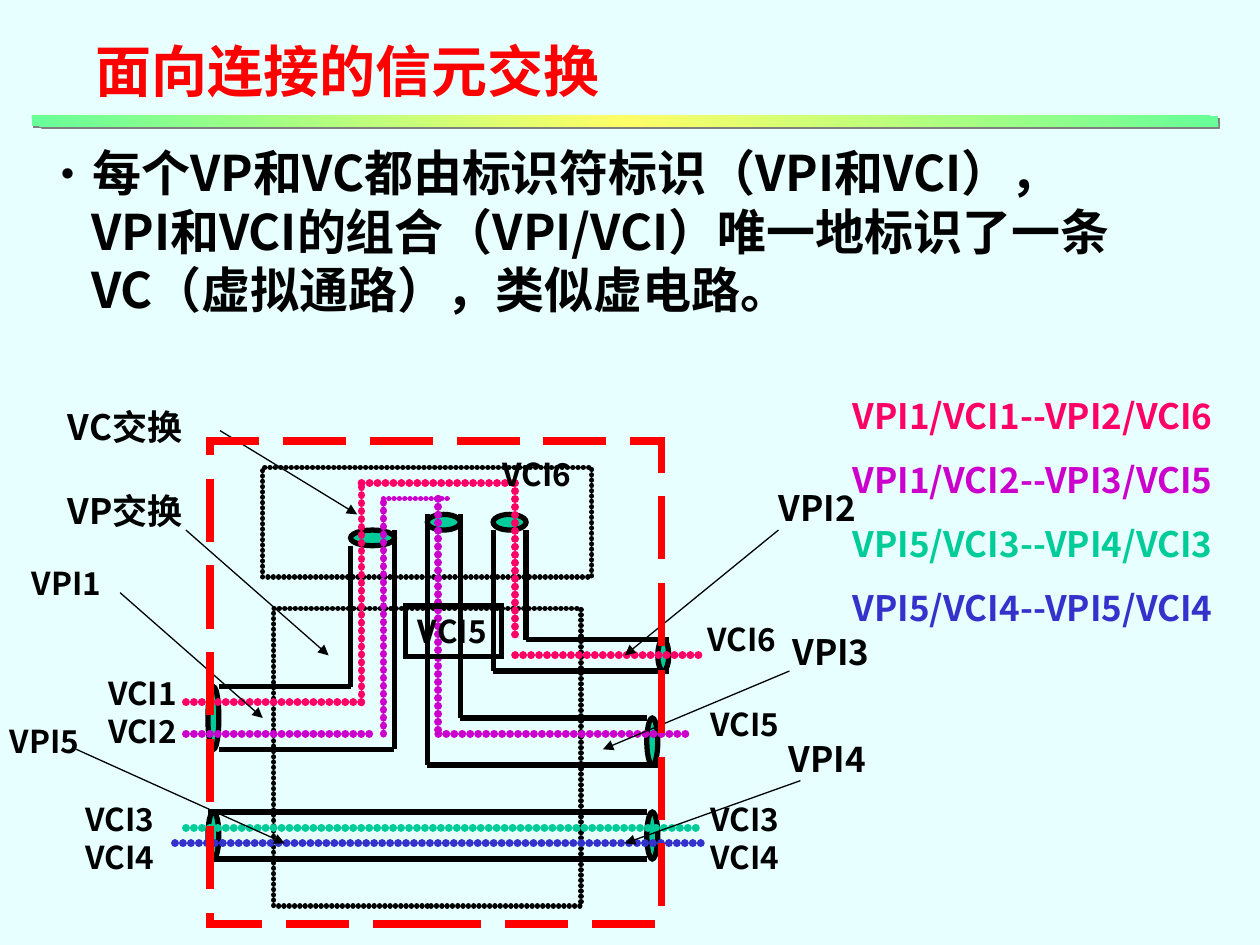
from itertools import pairwise

from lxml import etree
from pptx import Presentation
from pptx.dml.color import RGBColor
from pptx.enum import dml, shapes, text
from pptx.oxml import parse_xml
from pptx.oxml.ns import nsdecls, qn
from pptx.util import Pt

FONT = "Noto Sans CJK SC"
SKY = RGBColor(0xE7, 0xFF, 0xFF)
BLACK = RGBColor(0, 0, 0)
RED = RGBColor(0xFF, 0, 0)
PINK = RGBColor(0xFF, 0, 0x66)
PLUM = RGBColor(0xCC, 0, 0xCC)
TEAL = RGBColor(0, 0xCC, 0x99)
BLUE = RGBColor(0x33, 0x33, 0xCC)
MINT = RGBColor(0x66, 0xFF, 0x99)
LEMON = RGBColor(0xFF, 0xFF, 0x66)
GREY = RGBColor(0x80, 0x80, 0x80)

STEP_X, STEP_Y = 6.27, 8.95

PIPES = [
    [(4, 14), (16, 14), (16, 5)],
    [(4, 18), (20, 18), (20, 4)],
    [(29, 4), (29, 13), (45, 13)],
    [(32, 4), (32, 11), (45, 11)],
    [(23, 3), (23, 19), (44, 19)],
    [(26, 3), (26, 16), (43, 16)],
    [(3, 22), (43, 22)],
    [(3, 25), (43, 25)],
]
MOUTHS = [
    (3, 14, 1, 4), (16, 4, 4, 1), (29, 3, 3, 1), (44, 11, 1, 2),
    (43, 16, 1, 3), (23, 3, 3, 1), (3, 22, 1, 3), (43, 22, 1, 3),
]
ZONES = [(9, 9, 28, 19), (8, 0, 30, 7)]
CELLS = [
    (PINK, 4.5, [(1, 15), (17, 15), (17, 1), (31, 1), (31, 11)]),
    (PINK, 4.5, [(31, 12), (48, 12)]),
    (PLUM, 4.5, [(1, 17), (18, 17)]),
    (PLUM, 4.5, [(19, 17), (19, 2)]),
    (PLUM, 3, [(19, 2), (25, 2)]),
    (PLUM, 4.5, [(24, 2), (24, 17), (47, 17)]),
    (TEAL, 4.5, [(1, 23), (48, 23)]),
    (BLUE, 4.5, [(0, 24), (48, 24)]),
]
ARROWS = [
    [(-5, 8), (8, 16)], [(55, 4), (41, 12)], [(56, 13), (39, 18)],
    [(57, 20), (41, 24)], [(-9, 18), (10, 24)],
    [(4.1, -2.35), (16.6, 3)], [(1, 4), (14, 12)],
]
TAGS = [
    (11, 319, 18, ["VPI1"]), (438, 274.3, 20, ["VPI2"]),
    (445.7, 357, 20, ["VPI3"]), (443.5, 417.6, 20, ["VPI4"]),
    (-1.4, 409, 18, ["VPI5"]), (54.7, 381.6, 18, ["VCI1", "VCI2"]),
    (41.8, 453.6, 18, ["VCI3", "VCI4"]), (397.4, 350.6, 18, ["VCI6"]),
    (398.9, 399.6, 18, ["VCI5"]), (280, 256.3, 18, ["VCI6"]),
    (398.9, 453.6, 18, ["VCI3", "VCI4"]),
]
ROUTES = [
    ("VPI1/VCI1--VPI2/VCI6", PINK), ("VPI1/VCI2--VPI3/VCI5", PLUM),
    ("VPI5/VCI3--VPI4/VCI3", TEAL), ("VPI5/VCI4--VPI5/VCI4", BLUE),
]


def write(shape, rows, size, color=BLACK, gap=0, wrap=False):
    """Fill a shape with bold left-aligned paragraphs."""
    frame = shape.text_frame
    frame.word_wrap = wrap
    frame.vertical_anchor = text.MSO_ANCHOR.TOP
    frame.text = "\n".join(rows)
    for n, para in enumerate(frame.paragraphs):
        para.alignment = text.PP_ALIGN.LEFT
        para.line_spacing = Pt(1.2 * size)
        if n and gap:
            para.space_before = Pt(gap)
        for run in para.runs:
            font = run.font
            font.size, font.bold, font.name = Pt(size), True, FONT
            font.color.rgb = color
            props = font._element
            etree.SubElement(props, qn("a:ea")).set("typeface", FONT)
    return frame


def label(slide, box, rows, size, **style):
    """Add a text box."""
    return write(slide.shapes.add_textbox(*map(Pt, box)), rows, size, **style)


def block(slide, kind, box, fill=None, line=BLACK, width=3):
    """Add a preset shape with sharp corners and no shadow."""
    shape = slide.shapes.add_shape(kind, *map(Pt, box))
    shape.shadow.inherit = False
    if fill is None:
        shape.fill.background()
    else:
        shape.fill.solid()
        shape.fill.fore_color.rgb = fill
    shape.line.color.rgb = line
    shape.line.width = Pt(width)
    miter = etree.SubElement(shape.line._get_or_add_ln(), qn("a:miter"))
    miter.set("lim", "800000")
    return shape


def dot(line):
    """Turn a line into closely set round dots."""
    props = line._get_or_add_ln()
    props.set("cap", "rnd")
    dash = parse_xml(f'<a:custDash {nsdecls("a")}>'
                     '<a:ds d="100000" sp="1000"/></a:custDash>')
    props.find(qn("a:solidFill")).addnext(dash)


def trace(slide, points, color=BLACK, width=3, dots=False, arrow=False):
    """Join successive points with straight connectors."""
    for start, end in pairwise(points):
        link = slide.shapes.add_connector(
            shapes.MSO_CONNECTOR.STRAIGHT, *map(Pt, start + end))
        link.line.color.rgb = color
        link.line.width = Pt(width)
        if dots:
            dot(link.line)
        if arrow:
            tip = etree.SubElement(link.line._get_or_add_ln(), qn("a:tailEnd"))
            tip.set("type", "triangle")
        etree.SubElement(link._element.spPr, qn("a:effectLst"))


def header(slide, x, y, w):
    """Place the title above its gradient rule."""
    frame = label(slide, (x + 29.5, y, 302.4, 46), ["面向连接的信元交换"], 32,
                  color=RED)
    frame.margin_right = Pt(0)
    bar = block(slide, shapes.MSO_SHAPE.RECTANGLE, (x, y + 49, w, 6))
    bar.line.fill.background()
    props = bar._element.spPr
    props.remove(props.find(qn("a:noFill")))
    stops = "".join(
        f'<a:gs pos="{pos}"><a:srgbClr val="{color}"/></a:gs>'
        for pos, color in ((0, MINT), (50000, LEMON), (100000, MINT)))
    grad = parse_xml(
        f'<a:gradFill {nsdecls("a")}><a:gsLst>{stops}</a:gsLst>'
        '<a:lin ang="8100000" scaled="0"/></a:gradFill>')
    props.find(qn("a:prstGeom")).addnext(grad)
    shade = parse_xml(
        f'<a:outerShdw {nsdecls("a")} dist="17780" dir="2700000">'
        f'<a:srgbClr val="{GREY}"/></a:outerShdw>')
    props.find(qn("a:effectLst")).append(shade)


def body(slide, x, y, w, h):
    """Place the bulleted statement."""
    words = ("每个VP和VC都由标识符标识（VPI和VCI），VPI和VCI的组合（VPI/VCI）"
             "唯一地标识了一条VC（虚拟通路），类似虚电路。")
    frame = label(slide, (x, y, w, h), [words], 28, wrap=True)
    props = frame.paragraphs[0]._p.get_or_add_pPr()
    props.set("marL", str(Pt(27)))
    props.set("indent", str(Pt(-27)))
    props.set("hangingPunct", "0")
    etree.SubElement(props, qn("a:buFont")).set("typeface", FONT)
    etree.SubElement(props, qn("a:buChar")).set("char", "•")


def switch(slide, x, y):
    """Draw pipes, cell paths and arrows on a grid starting at x, y."""
    def spot(i, j):
        return x + i * STEP_X, y + j * STEP_Y

    def area(i, j, w, h):
        return *spot(i, j), w * STEP_X, h * STEP_Y

    for pipe in PIPES:
        trace(slide, [spot(*p) for p in pipe])
    for mouth in MOUTHS:
        block(slide, shapes.MSO_SHAPE.OVAL, area(*mouth), fill=TEAL)
    for zone in ZONES:
        dot(block(slide, shapes.MSO_SHAPE.RECTANGLE, area(*zone)).line)
    for color, width, cells in CELLS:
        trace(slide, [spot(*p) for p in cells], color, width, dots=True)
    for arrow in ARROWS:
        trace(slide, [spot(*p) for p in arrow], width=0.75, arrow=True)
    frame = block(slide, shapes.MSO_SHAPE.RECTANGLE,
                  (x + 20.2, y - 15.1, 257.8, 275.8), line=RED, width=4.5)
    frame.line.dash_style = dml.MSO_LINE.LONG_DASH


def tags(slide, x, y):
    """Name the paths, channels and switches."""
    for left, top, size, rows in TAGS:
        wide = 54.7 if size == 18 else 59
        high = 7.2 + 1.2 * size * len(rows)
        label(slide, (x + left, y + top, wide, high), rows, size)
    label(slide, (x + 31.7, y + 228.2, 85, 79.2), ["VC交换", "VP交换"], 20, gap=24)
    plate = block(slide, shapes.MSO_SHAPE.RECTANGLE,
                  (x + 231.8, y + 346.3, 54.7, 28.8))
    write(plate, ["VCI5"], 18)


def legend(slide, x, y, w, h):
    """List the routes in their colours."""
    frame = label(slide, (x, y, w, h), [name for name, _ in ROUTES], 20,
                  gap=12.5, wrap=True)
    for para, (_, color) in zip(frame.paragraphs, ROUTES):
        para.runs[0].font.color.rgb = color


def main():
    """Build and save the slide."""
    deck = Presentation()
    deck.slide_width, deck.slide_height = Pt(720), Pt(540)
    slide = deck.slides.add_slide(deck.slide_layouts[6])
    slide.background.fill.solid()
    slide.background.fill.fore_color.rgb = SKY
    body(slide, 18, 77.8, 624.2, 126)
    switch(slide, 100, 267.1)
    tags(slide, 0, 0)
    legend(slide, 480.2, 221.8, 239.8, 141.1)
    header(slide, 18, 17.3, 678.2)
    deck.save("out.pptx")


if __name__ == "__main__":
    main()
